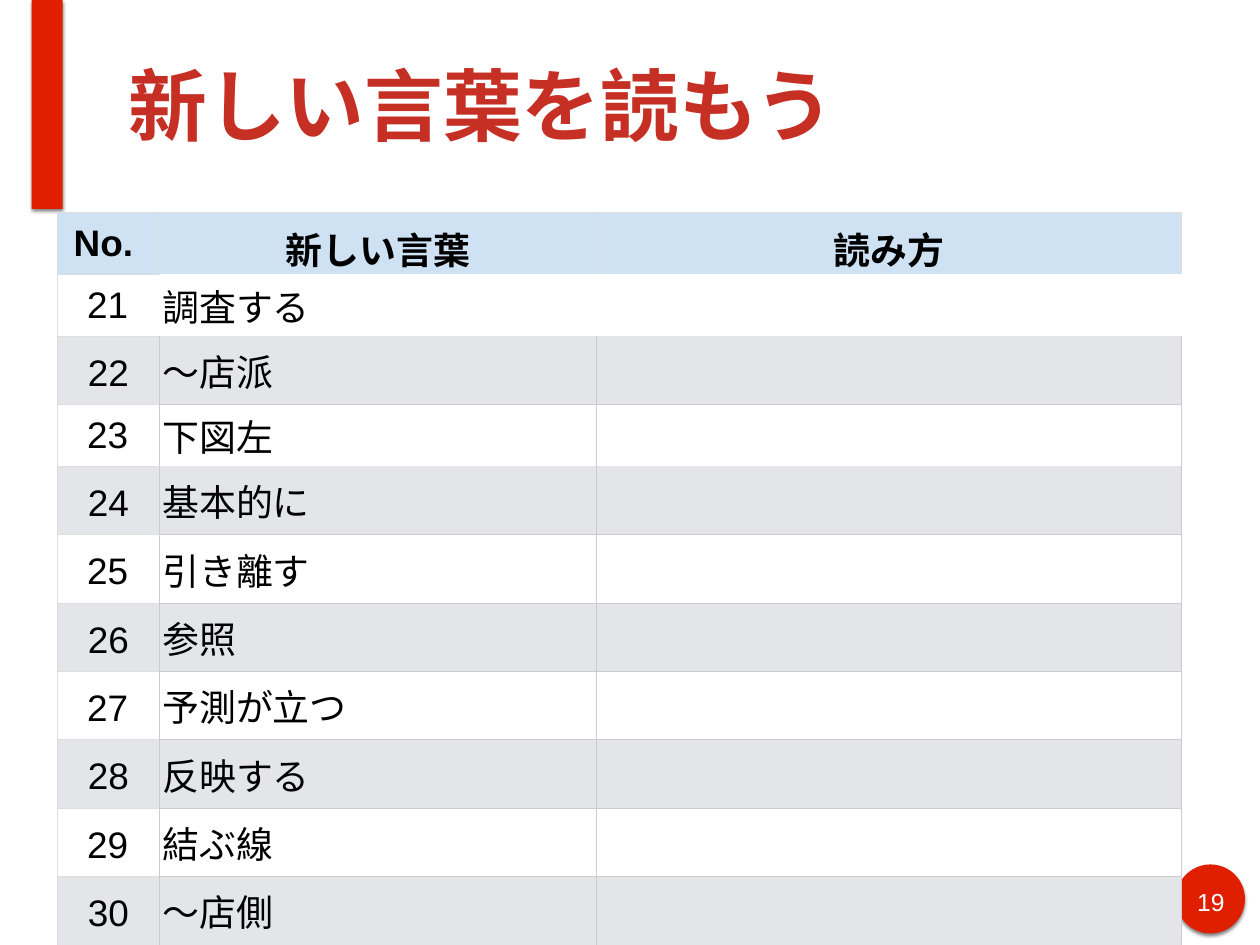
import pptx
import pptx.dml.color
import pptx.enum.shapes
import pptx.enum.text
import pptx.oxml
import pptx.oxml.ns
import pptx.util

Cm = pptx.util.Cm
Pt = pptx.util.Pt
RGBColor = pptx.dml.color.RGBColor
SHAPE = pptx.enum.shapes.MSO_SHAPE
ALIGN = pptx.enum.text.PP_ALIGN
MIDDLE = pptx.enum.text.MSO_ANCHOR.MIDDLE
TOP = pptx.enum.text.MSO_ANCHOR.TOP

RED = RGBColor(0xDF, 0x1F, 0x00)
TITLE_RED = RGBColor(0xC6, 0x30, 0x24)
WHITE = RGBColor(0xFF, 0xFF, 0xFF)
BLACK = RGBColor(0x00, 0x00, 0x00)
HEADER_BLUE = RGBColor(0xCF, 0xE2, 0xF3)
BAND_GRAY = RGBColor(0xE3, 0xE5, 0xE8)
PALE_LINE = RGBColor(0xDC, 0xDE, 0xE0)
GRAY_LINE = RGBColor(0xCC, 0xCC, 0xCC)

NAMESPACE = pptx.oxml.ns.nsdecls("a")
NO_STYLE = "{2D5ABB26-0587-4C30-8999-92F81FD0307C}"
PALE = (PALE_LINE, 0.75)
GRAY = (GRAY_LINE, 0.94)

HEADERS = ["No. ", "新しい言葉", "読み方"]
WORDS = ["調査する", "～店派", "下図左", "基本的に", "引き離す",
         "参照", "予測が立つ", "反映する", "結ぶ線", "～店側"]
FIRST_NUMBER = 21
COLUMN_WIDTHS = [2.92, 12.52, 16.79]
ROW_HEIGHT = 1.68
WORD_EDGES = {21: "", 22: "LRB", 23: "LRT", 24: "LRB"}


class SlideBuilder:
    font_name = "Arial"

    def __init__(self, page):
        self.page = page

    def style(self, para, text, size, color, bold=False, align=ALIGN.LEFT):
        para.text = text
        para.alignment = align
        para.font.name = self.font_name
        para.font.size = Pt(size)
        para.font.bold = bold
        para.font.color.rgb = color

    def shape(self, kind, left, top, width, height):
        shape = self.page.shapes.add_shape(
            kind, Cm(left), Cm(top), Cm(width), Cm(height))
        shape.fill.solid()
        shape.fill.fore_color.rgb = RED
        shape.line.fill.background()
        shape.shadow.inherit = False
        effects = shape.element.spPr.find(pptx.oxml.ns.qn("a:effectLst"))
        effects.append(pptx.oxml.parse_xml(
            f'<a:outerShdw {NAMESPACE} blurRad="{Pt(3)}" dist="{Pt(2)}" '
            'dir="5400000" rotWithShape="0"><a:srgbClr val="000000">'
            '<a:alpha val="49000"/></a:srgbClr></a:outerShdw>'))

    def text(self, left, top, width, height, text, size, color,
             bold=False, align=ALIGN.LEFT, anchor=TOP):
        box = self.page.shapes.add_textbox(
            Cm(left), Cm(top), Cm(width), Cm(height))
        frame = box.text_frame
        frame.word_wrap = True
        frame.vertical_anchor = anchor
        frame.margin_left = frame.margin_right = Cm(0.15)
        frame.margin_top = frame.margin_bottom = Cm(0.15)
        self.style(frame.paragraphs[0], text, size, color, bold, align)

    def table(self, left, top, widths, row_count, row_height):
        frame = self.page.shapes.add_table(
            row_count, len(widths), Cm(left), Cm(top),
            Cm(sum(widths)), Cm(row_height * row_count))
        table = frame.table
        table.first_row = False
        table.horz_banding = False
        style_id = next(frame.element.iter(pptx.oxml.ns.qn("a:tableStyleId")))
        style_id.text = NO_STYLE
        for column, width in zip(table.columns, widths):
            column.width = Cm(width)
        for row in table.rows:
            row.height = Cm(row_height)
        return table

    def cell(self, cell, fill, edges, text="", bold=False, align=ALIGN.LEFT,
             margins=(0.25, 0.25), indent=0, spacing=None):
        if fill is None:
            cell.fill.background()
        else:
            cell.fill.solid()
            cell.fill.fore_color.rgb = fill
        cell.vertical_anchor = MIDDLE
        cell.margin_left = cell.margin_right = Cm(margins[0])
        cell.margin_top = cell.margin_bottom = Cm(margins[1])
        self.borders(cell, edges)
        if text:
            para = cell.text_frame.paragraphs[0]
            self.style(para, text, 30, BLACK, bold, align)
            if spacing:
                para.line_spacing = spacing
            if indent:
                properties = para.font._element.getparent()
                properties.set("marL", str(Cm(indent)))
                properties.set("indent", "0")

    def borders(self, cell, edges):
        properties = cell._tc.get_or_add_tcPr()
        for index, side in enumerate("LRTB"):
            color, width = edges.get(side, (None, 0))
            paint = (f'<a:solidFill><a:srgbClr val="{color}"/></a:solidFill>'
                     if color else "<a:noFill/>")
            properties.insert(index, pptx.oxml.parse_xml(
                f'<a:ln{side} {NAMESPACE} w="{Pt(width)}">{paint}</a:ln{side}>'))


def fill_vocabulary(builder, table):
    for column, header in enumerate(HEADERS):
        sides = "LRTB" if column == 0 else "LRT"
        builder.cell(table.cell(0, column), HEADER_BLUE,
                     dict.fromkeys(sides, PALE), header, True, ALIGN.CENTER)
    for row, word in enumerate(WORDS, 1):
        number = FIRST_NUMBER + row - 1
        banded = number % 2 == 0
        number_edges = dict.fromkeys("LTB", PALE)
        if number > FIRST_NUMBER:
            number_edges["R"] = GRAY
        builder.cell(table.cell(row, 0), BAND_GRAY if banded else None,
                     number_edges, str(number),
                     align=ALIGN.CENTER if banded else ALIGN.LEFT,
                     indent=0 if banded else 0.6,
                     spacing=None if number in (21, 23) else 1.15)
        word_edges = dict.fromkeys(WORD_EDGES.get(number, "LRTB"), GRAY)
        for column, text in ((1, word), (2, "")):
            builder.cell(table.cell(row, column),
                         BAND_GRAY if banded else WHITE,
                         word_edges, text, margins=(0.08, 0.05))


def main():
    deck = pptx.Presentation()
    deck.slide_width = Cm(36.12)
    deck.slide_height = Cm(27.1)
    page = deck.slides.add_slide(deck.slide_layouts[6])
    builder = SlideBuilder(page)
    builder.shape(SHAPE.OVAL, 33.71, 24.79, 1.98, 1.98)
    builder.shape(SHAPE.RECTANGLE, 0.91, 0, 0.89, 5.99)
    builder.text(34.09, 25.27, 1.24, 0.99, "19", 20, WHITE,
                 align=ALIGN.CENTER)
    builder.text(3.53, 0.3, 30.84, 5.38, "新しい言葉を読もう", 64, TITLE_RED,
                 bold=True, anchor=MIDDLE)
    table = builder.table(1.65, 6.1, COLUMN_WIDTHS, len(WORDS) + 1, ROW_HEIGHT)
    fill_vocabulary(builder, table)
    deck.save("out.pptx")


if __name__ == "__main__":
    main()
